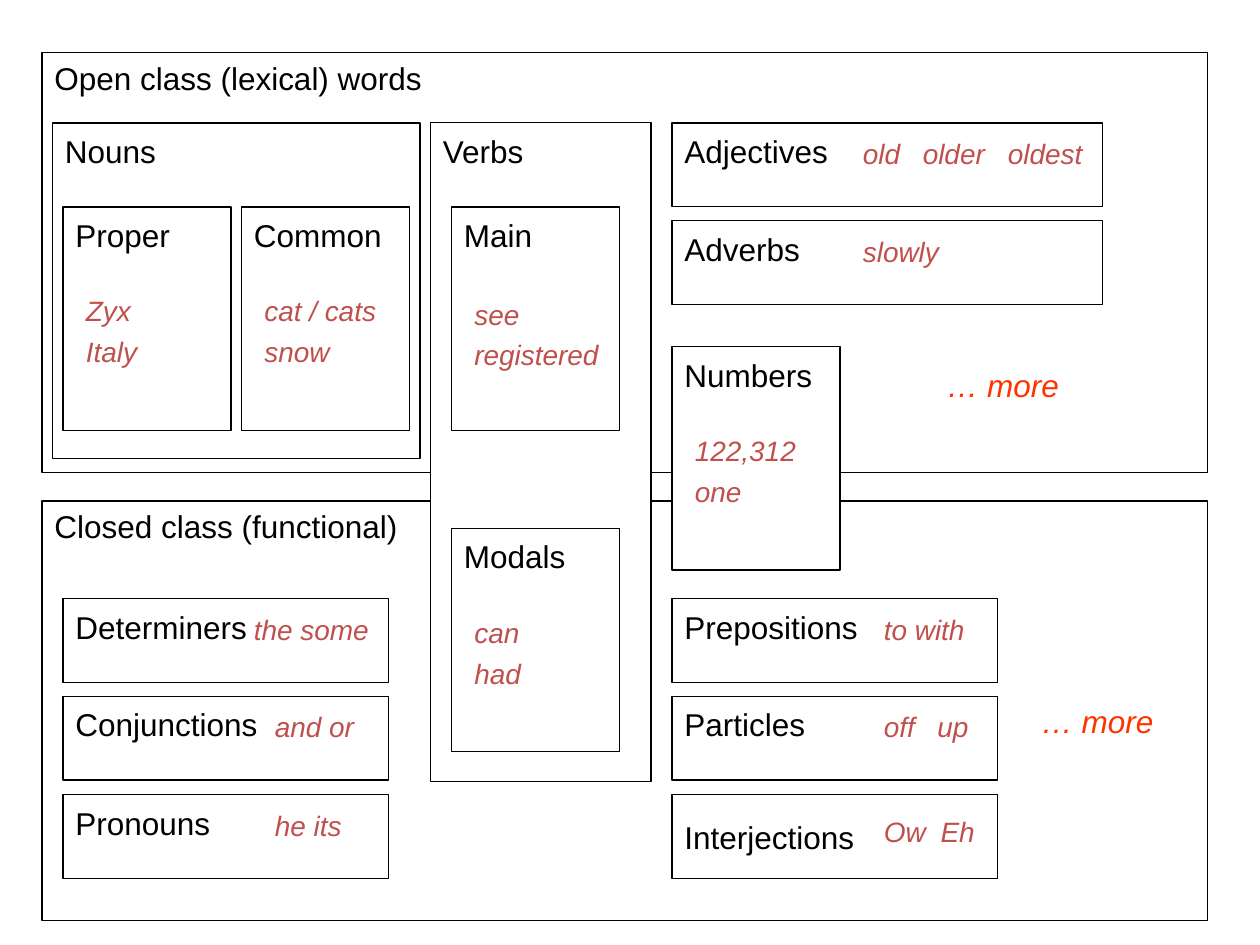
"""Build a slide that sorts the parts of speech into open and closed classes."""
from dataclasses import dataclass

from lxml import etree
from pptx import Presentation
from pptx import util as u
from pptx.dml.color import RGBColor
from pptx.enum import shapes, text
from pptx.oxml import ns

PX = 7620


@dataclass(frozen=True)
class Theme:
    font: str = "Arial"
    ink: str = "000000"
    paper: str = "FFFFFF"
    example: str = "C0504D"
    more: str = "FF3300"
    label_size: int = 18
    example_size: int = 16
    example_gap: float = 4.2
    line_width: float = 0.75


@dataclass(frozen=True)
class Example:
    lines: tuple[str, ...]
    dx: int = 10
    dy: int = 77
    width: int = 150
    tabs: tuple[int, ...] = ()


@dataclass(frozen=True)
class WordClass:
    label: str
    left: int
    top: int
    width: int
    height: int
    label_width: int
    example: Example | None = None
    filled: bool = True
    label_dy: int = 3
    centred: bool = False


THEME = Theme()
CELL = (160, 213)
WIDE_ROW = (410, 80)
ROW = (310, 80)
LEFT, RIGHT = 60, 640
UPPER_ROWS = [117, 210]
LOWER_ROWS = [570, 663, 757]


def px(length: int) -> u.Emu:
    """Turn px into EMU."""
    return u.Emu(length * PX)


def format_text(frame, lines, *, size, color, italic=False, gap=0.0, tabs=()) -> None:
    """Write lines as paragraphs in one format."""
    for index, line in enumerate(lines):
        para = frame.paragraphs[0] if index == 0 else frame.add_paragraph()
        para.alignment = text.PP_ALIGN.LEFT
        para.space_before = u.Pt(gap if index else 0)
        if tabs:
            stops = etree.SubElement(para._p.get_or_add_pPr(), ns.qn("a:tabLst"))
            for stop in tabs:
                etree.SubElement(stops, ns.qn("a:tab"), pos=str(px(stop)), algn="l")
        span = para.add_run()
        span.text = line
        span.font.name = THEME.font
        span.font.size = u.Pt(size)
        span.font.italic = italic
        span.font.color.rgb = RGBColor.from_string(color)


def add_text(page, lines, left: int, top: int, width: int, height: int, **style) -> None:
    """Add a wrapping text box."""
    box = page.shapes.add_textbox(px(left), px(top), px(width), px(height))
    box.text_frame.word_wrap = True
    format_text(box.text_frame, lines, **style)


def add_example(page, example: Example, left: int, top: int) -> None:
    """Add the example words of a class."""
    height = 44 if len(example.lines) == 1 else 83
    add_text(page, example.lines, left + example.dx, top + example.dy, example.width, height,
             size=THEME.example_size, color=THEME.example, italic=True,
             gap=THEME.example_gap, tabs=example.tabs)


def add_word_class(page, item: WordClass) -> None:
    """Draw a class as a frame with its label and examples."""
    box = page.shapes.add_shape(shapes.MSO_SHAPE.RECTANGLE, px(item.left), px(item.top),
                                px(item.width), px(item.height))
    box.shadow.inherit = False
    box.line.color.rgb = RGBColor.from_string(THEME.ink)
    box.line.width = u.Pt(THEME.line_width)
    if item.filled:
        box.fill.solid()
        box.fill.fore_color.rgb = RGBColor.from_string(THEME.paper)
    else:
        box.fill.background()
    style = dict(size=THEME.label_size, color=THEME.ink)
    if item.centred:
        box.text_frame.word_wrap = False
        box.text_frame.vertical_anchor = text.MSO_ANCHOR.MIDDLE
        format_text(box.text_frame, [item.label], **style)
    else:
        add_text(page, [item.label], item.left, item.top + item.label_dy,
                 item.label_width, 48, **style)
    if item.example:
        add_example(page, item.example, item.left, item.top)


def row_example(line: str, dx: int, width: int = 150, dy: int = 7, tabs=()) -> Example:
    """Return a one-line example beside a label."""
    return Example((line,), dx, dy, width, tabs)


CLASSES = [
    WordClass("Open class (lexical) words", 40, 50, 1110, 400, 430, filled=False, label_dy=0),
    WordClass("Closed class (functional)", 40, 477, 1110, 400, 480, filled=False, label_dy=0),
    WordClass("Nouns", 50, 117, 350, 320, 190, filled=False),
    WordClass("Verbs", 410, 117, 210, 627, 230),
    WordClass("Proper", LEFT, 197, *CELL, 140, Example(("Zyx", "Italy"), width=140), False),
    WordClass("Common", 230, 197, *CELL, 180, Example(("cat / cats", "snow"), width=140), False),
    WordClass("Modals", 430, 503, *CELL, 140, Example(("can", "had")), False),
    WordClass("Main", 430, 197, *CELL, 140, Example(("see", "registered"), dy=80), False),
    WordClass("Numbers", RIGHT, 330, *CELL, 150, Example(("122,312", "one"))),
]

UPPER_EXAMPLES = {
    "Adjectives": row_example("old\tolder\toldest", 170, 260, tabs=(57, 138)),
    "Adverbs": row_example("slowly", 170),
}
LEFT_EXAMPLES = {
    "Determiners": row_example("the some", 170),
    "Conjunctions": row_example("and or", 190),
    "Pronouns": row_example("he its", 190),
}
RIGHT_EXAMPLES = {
    "Prepositions": row_example("to with", 190),
    "Particles": row_example("off\tup", 190, tabs=(51,)),
    "Interjections": row_example("Ow\tEh", 190, dy=13, tabs=(54,)),
}
STACKS = [
    (RIGHT, UPPER_ROWS, WIDE_ROW, UPPER_EXAMPLES),
    (LEFT, LOWER_ROWS, ROW, LEFT_EXAMPLES),
    (RIGHT, LOWER_ROWS, ROW, RIGHT_EXAMPLES),
]


def main() -> None:
    """Build and save the deck."""
    deck = Presentation()
    deck.slide_width, deck.slide_height = px(1200), px(900)
    page = deck.slides.add_slide(deck.slide_layouts[6])
    for item in CLASSES:
        add_word_class(page, item)
    for left, tops, size, examples in STACKS:
        for top, (label, example) in zip(tops, examples.items()):
            add_word_class(page, WordClass(label, left, top, *size, 230, example,
                                           centred=label == "Interjections"))
    for left, top, width in ((890, 343, 190), (980, 663, 150)):
        add_text(page, ["… more"], left, top, width, 48,
                 size=THEME.label_size, color=THEME.more, italic=True)
    deck.save("out.pptx")


if __name__ == "__main__":
    main()
